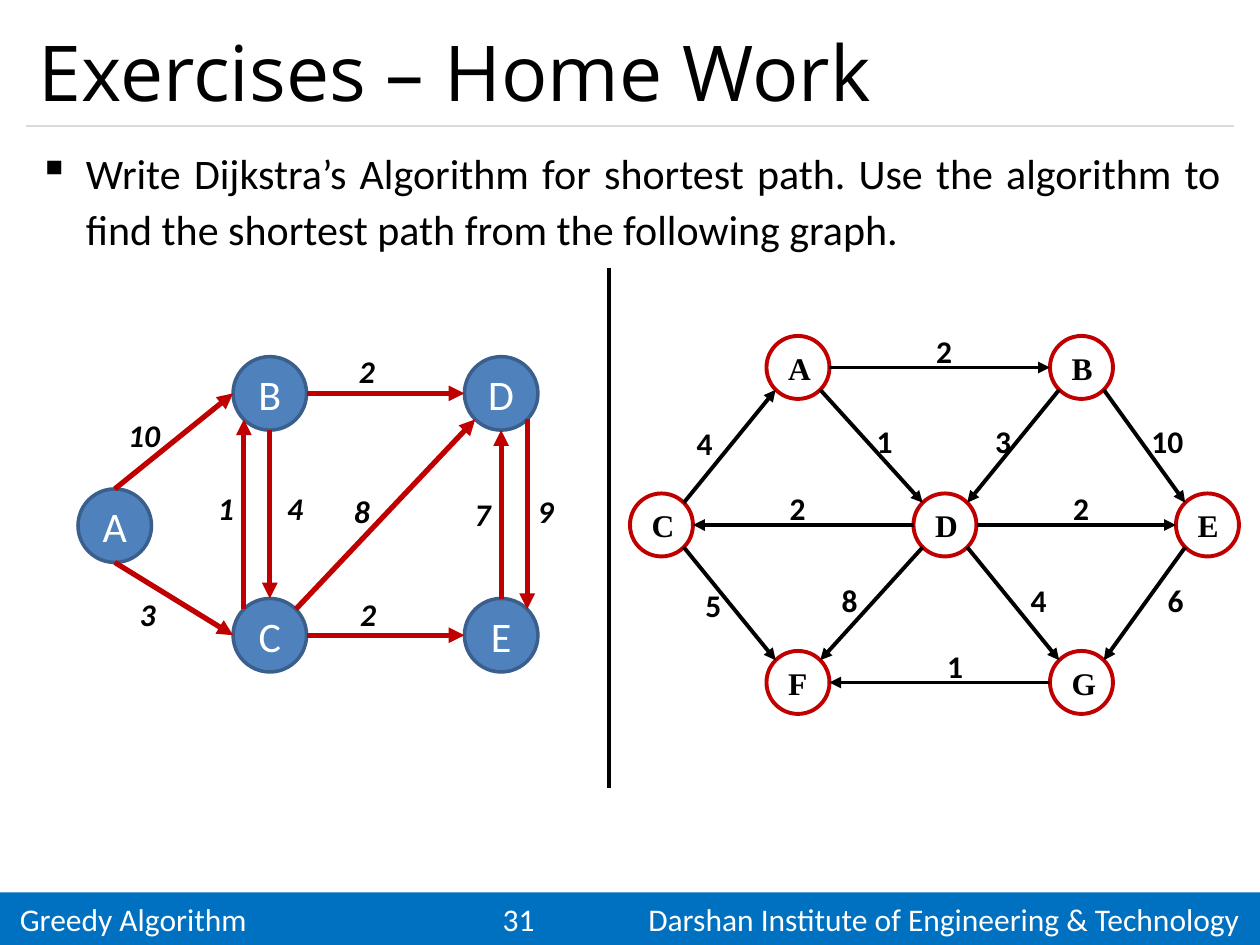
from dataclasses import dataclass
from math import sqrt

from pptx import Presentation
from pptx.dml.color import RGBColor as Rgb
from pptx.enum.shapes import MSO_CONNECTOR as Link, MSO_SHAPE as Form
from pptx.enum.text import MSO_ANCHOR as Anchor, PP_ALIGN as Align
from pptx.oxml import parse_xml
from pptx.oxml.ns import nsdecls, qn
from pptx.util import Pt


@dataclass(frozen=True)
class Theme:
    black: str = "000000"
    white: str = "FFFFFF"
    red: str = "C00000"
    blue: str = "4F81BD"
    navy: str = "3A5F8C"
    bar: str = "0070C0"
    grey: str = "D9D9D9"
    sans: str = "Calibri"
    head: str = "Open Sans"
    serif: str = "Times New Roman"
    big: int = 44
    mid: int = 24
    small: int = 18


@dataclass(frozen=True)
class Style:
    """Look of one graph: its nodes, its arrows and its labels."""
    size: float
    fill: str
    rim: str
    rim_width: float
    ink: str
    font: str
    text: int
    bold: bool
    align: Align
    arrow: str
    arrow_width: float
    italic: bool
    wrap: bool


T = Theme()
FILLED = Style(42, T.blue, T.navy, 2, T.white, T.sans, T.mid, False,
               Align.CENTER, T.red, 3, True, True)
RINGED = Style(36, T.white, T.red, 2.25, T.black, T.serif, T.small, True,
               Align.LEFT, T.black, 2.25, False, False)

DIAG = sqrt(0.5)
SITES = {"N": (0, -1), "S": (0, 1), "W": (-1, 0), "E": (1, 0),
         "NW": (-DIAG, -DIAG), "NE": (DIAG, -DIAG),
         "SW": (-DIAG, DIAG), "SE": (DIAG, DIAG)}

# Nodes: left, top. Edges: from, site, to, site, weight, label left, label top.
LEFT_NODES = {"A": (0, 75.6), "B": (88.6, 0), "C": (88.6, 138.2),
              "D": (220.8, 0), "E": (220.8, 138.2)}
LEFT_EDGES = [
    ("A", "N", "B", "W", "10", 21.6, 30.2),
    ("A", "S", "C", "W", "3", 28.1, 132.4),
    ("B", "E", "D", "W", "2", 153.4, -6.5),
    ("C", "E", "E", "W", "2", 154.1, 132.4),
    ("C", "NE", "D", "SW", "8", 150.5, 73.4),
    ("C", "NW", "B", "SW", "1", 72.8, 72),
    ("B", "S", "C", "N", "4", 112.4, 72),
    ("E", "N", "D", "S", "7", 219.6, 75.6),
    ("D", "SE", "E", "NE", "9", 255.6, 73.4),
]
RIGHT_NODES = {"A": (78, 0), "B": (240, 0), "C": (0, 90), "D": (162, 90),
               "E": (312, 90), "F": (78, 180), "G": (240, 180)}
RIGHT_EDGES = [
    ("A", "E", "B", "W", "2", 167.8, -6.2),
    ("C", "NE", "A", "SW", "4", 31, 46.3),
    ("A", "SE", "D", "NW", "1", 133.9, 45.6),
    ("B", "SW", "D", "NE", "3", 201.6, 45.6),
    ("B", "SE", "E", "NW", "10", 290.9, 45.6),
    ("D", "W", "C", "E", "2", 84.2, 83.8),
    ("D", "E", "E", "W", "2", 246.2, 83.8),
    ("C", "SE", "F", "NW", "5", 36, 139.2),
    ("D", "SW", "F", "NE", "8", 113.8, 136.3),
    ("D", "SE", "G", "NW", "4", 221.8, 136.3),
    ("E", "SW", "G", "NE", "6", 300.2, 136.3),
    ("G", "W", "F", "E", "1", 174.2, 173.8),
]


def write(shape, text, font, size, color, bold=False, italic=False,
          align=Align.LEFT, anchor=Anchor.MIDDLE, wrap=True):
    """Set one formatted paragraph and return it."""
    frame = shape.text_frame
    frame.text = text
    frame.word_wrap = wrap
    frame.vertical_anchor = anchor
    para = frame.paragraphs[0]
    para.alignment = align
    for run in para.runs:
        face = run.font
        face.name, face.size = font, Pt(size)
        face.bold, face.italic = bold, italic
        face.color.rgb = Rgb.from_string(color)
    return para


def add_text(slide, box, *args, **look):
    return write(slide.shapes.add_textbox(*map(Pt, box)), *args, **look)


def add_form(slide, kind, box, fill, rim=None, width=0):
    shape = slide.shapes.add_shape(kind, *map(Pt, box))
    shape.shadow.inherit = False
    shape.fill.solid()
    shape.fill.fore_color.rgb = Rgb.from_string(fill)
    if rim:
        shape.line.color.rgb = Rgb.from_string(rim)
        shape.line.width = Pt(width)
    else:
        shape.line.fill.background()
    return shape


def add_line(slide, start, end, color, width, arrow=False):
    line = slide.shapes.add_connector(Link.STRAIGHT, *map(Pt, (*start, *end)))
    line.line.color.rgb = Rgb.from_string(color)
    line.line.width = Pt(width)
    props = line.element.spPr
    if arrow:
        props.find(qn("a:ln")).append(
            parse_xml(f'<a:tailEnd {nsdecls("a")} type="triangle"/>'))
    props.append(parse_xml(f'<a:effectLst {nsdecls("a")}/>'))


def add_header(slide, box):
    left, top, width, height = box
    add_text(slide, box, "Exercises – Home Work", T.head, T.big, T.black)
    base = top + height
    add_line(slide, (left, base), (left + width, base), T.grey, 0.75)


def add_task(slide, box):
    para = add_text(
        slide, box,
        "Write Dijkstra’s Algorithm for shortest path. Use the algorithm to "
        "find the shortest path from the following graph.",
        T.sans, T.mid, T.black, align=Align.JUSTIFY, anchor=Anchor.TOP)
    para.line_spacing = 1.1
    para.space_after = Pt(6)
    props = para._p.get_or_add_pPr()
    props.set("marL", str(Pt(27)))
    props.set("indent", str(Pt(-27)))
    props.append(parse_xml(f'<a:buChar {nsdecls("a")} char="▪"/>'))


def add_graph(slide, box, nodes, edges, style):
    left, top = box[:2]
    half = style.size / 2

    def site(name, side):
        """Point on the rim of a node, by compass side."""
        x, y = nodes[name]
        dx, dy = SITES[side]
        return left + x + half * (1 + dx), top + y + half * (1 + dy)

    for name, (x, y) in nodes.items():
        node = add_form(slide, Form.OVAL,
                        (left + x, top + y, style.size, style.size),
                        style.fill, style.rim, style.rim_width)
        write(node, name, style.font, style.text, style.ink, style.bold,
              align=style.align, wrap=style.wrap)
    for tail, out, head, into, *_ in edges:
        add_line(slide, site(tail, out), site(head, into),
                 style.arrow, style.arrow_width, True)
    for *_, weight, x, y in edges:
        width = 36 if style.wrap else 15.1 + 9.1 * len(weight)
        add_text(slide, (left + x, top + y, width, 29), weight, T.sans,
                 T.small, T.black, True, style.italic, wrap=style.wrap)


def add_footer(slide, box):
    bar = add_form(slide, Form.RECTANGLE, box, T.bar)
    bar.text_frame.margin_left = Pt(11.4)
    para = write(bar, "Greedy Algorithm\t31\t"
                 "Darshan Institute of Engineering & Technology",
                 T.sans, T.small, T.white)
    stops = "".join(f'<a:tab pos="{Pt(pos)}" algn="{kind}"/>'
                    for pos, kind in ((285, "ctr"), (697, "r")))
    para._p.get_or_add_pPr().append(
        parse_xml(f'<a:tabLst {nsdecls("a")}>{stops}</a:tabLst>'))


def main():
    deck = Presentation()
    deck.slide_width, deck.slide_height = Pt(720), Pt(540)
    slide = deck.slides.add_slide(deck.slide_layouts[6])
    add_footer(slide, (0, 510, 720, 30))
    add_header(slide, (15, 8.6, 690, 63.4))
    add_task(slide, (15, 78, 690, 420))
    add_line(slide, (348, 153), (348, 450), T.black, 2.25)
    add_graph(slide, (44.6, 203.8, 263, 180), LEFT_NODES, LEFT_EDGES, FILLED)
    add_graph(slide, (360, 192, 348, 216), RIGHT_NODES, RIGHT_EDGES, RINGED)
    deck.save("out.pptx")


if __name__ == "__main__":
    main()
